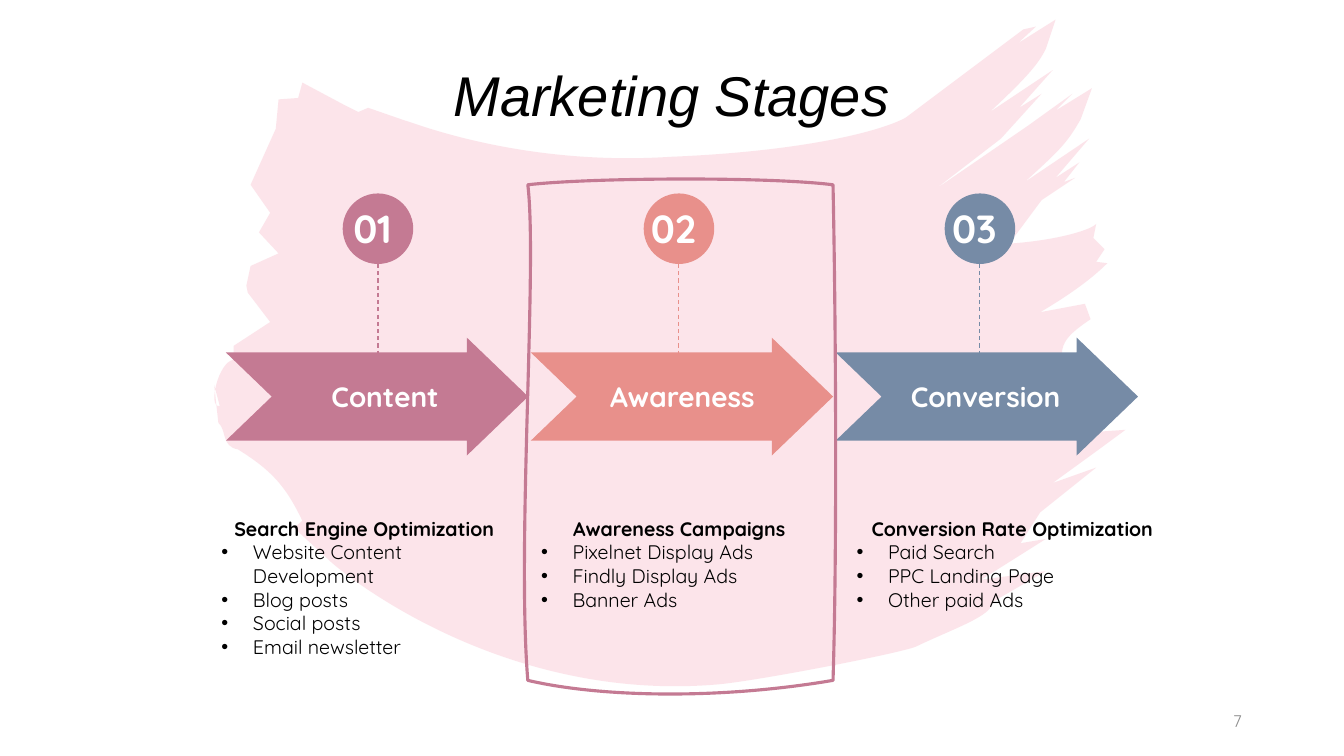
from dataclasses import dataclass
from itertools import chain

from lxml import etree
from pptx import Presentation
from pptx.dml.color import RGBColor
from pptx.enum import dml, shapes, text
from pptx.oxml.ns import qn
from pptx.util import Pt


@dataclass(frozen=True)
class Theme:
    font: str = "Quicksand"
    title_font: str = "Arial"
    ink: str = "000000"
    white: str = "FFFFFF"
    muted: str = "8C8C8C"
    brush: str = "F07C98"
    brush_opacity: int = 20
    frame: str = "C47A93"
    title_size: int = 40
    number_size: int = 28
    label_size: int = 20
    body_size: int = 14
    page_size: int = 12


@dataclass(frozen=True)
class Area:
    left: float
    top: float
    width: float
    height: float

    def emu(self) -> tuple:
        return Pt(self.left), Pt(self.top), Pt(self.width), Pt(self.height)


@dataclass(frozen=True)
class Stage:
    label: str
    color: str
    label_left: float
    details: Area
    heading: str
    items: tuple


THEME = Theme()
FIRST_CENTER, CENTER_STEP = 270, 215
FIRST_ARROW, ARROW_STEP = 161.3, 217.8
CIRCLE, CIRCLE_TOP = 50.4, 138.2
INSET, BULLET_INDENT = 9.2, 22.5

STAGES = (
    Stage("Content", "C47A93", 188, Area(149, 360, 222.5, 126.7), "Search Engine Optimization",
          ("Website Content Development", "Blog posts", "Social posts", "Email newsletter")),
    Stage("Awareness", "E8908B", 400.3, Area(377.3, 360, 216, 126.7), "Awareness Campaigns",
          ("Pixelnet Display Ads", "Findly Display Ads", "Banner Ads")),
    Stage("Conversion", "768BA6", 617, Area(602.6, 360, 241.2, 110.2), "Conversion Rate Optimization",
          ("Paid Search", "PPC Landing Page", "Other paid Ads")),
)

# A leg is an end point (x, y), or two control points followed by the end point.
BRUSH_EDGE = [
    (289, 86), (294, 87, 372, 119, 479, 112), (577, 108, 631, 93, 647, 84), (731, 21),
    (740, 19), (727, 31), (754, 14), (747, 35), (742, 45, 735, 54, 707, 80), (752, 50),
    (728, 77), (744, 67), (715, 99), (667, 136), (734, 90), (766, 67), (754, 79), (780, 63),
    (772, 85), (762, 103, 755, 109, 732, 130), (778, 99), (754, 127), (771, 116), (760, 130),
    (768, 127), (744, 143), (721, 174), (752, 172, 778, 165, 783, 160), (781, 170), (789, 178),
    (783, 187), (791, 188), (778, 201, 760, 213, 743, 223), (775, 217), (779, 228),
    (757, 243, 755, 248, 762, 274), (768, 279), (777, 280), (777, 289), (803, 293), (776, 309),
    (804, 307), (785, 321), (752, 345), (783, 334), (743, 366), (729, 388), (747, 385),
    (701, 414), (747, 408), (709, 430), (709, 440, 681, 449, 654, 462),
    (641, 467, 538, 487, 511, 489), (351, 502, 236, 402, 235, 400), (210, 377), (216, 372),
    (204, 347, 194, 336, 170, 321), (158, 319, 162, 307, 156, 302), (153, 275), (157, 290),
    (148, 292, 156, 258, 167, 257), (167, 247), (193, 230), (177, 209), (176, 204),
    (179, 190), (199, 181), (185, 166), (193, 152), (179, 132), (197, 92), (199, 71),
    (213, 70), (216, 59), (246, 75), (256, 80), (263, 77), (289, 86),
]
FRAME_EDGE = [(377, 132), (420, 127, 547, 126, 595, 132), (597, 228, 598, 392, 595, 486),
              (513, 500, 428, 498, 377, 486), (369, 389, 384, 188, 377, 132)]


def paint(shape, color: str) -> None:
    shape.shadow.inherit = False
    shape.fill.solid()
    shape.fill.fore_color.rgb = RGBColor.from_string(color)
    shape.line.fill.background()


def add_outline(page, contour: list):
    """Draw a closed contour, turning each six-number leg into a Bézier curve."""
    anchors = [leg[-2:] for leg in contour]
    builder = page.shapes.build_freeform(*anchors[0], scale=Pt(1))
    builder.add_line_segments(anchors[1:], close=True)
    outline = builder.convert_to_shape()
    outline.shadow.inherit = False
    left, top = (min(axis) for axis in zip(*anchors))
    for step, leg in zip(list(outline._element.iter(qn("a:lnTo"))), contour[1:]):
        if len(leg) == 6:
            step.tag = qn("a:cubicBezTo")
            for place in (0, 1):
                x, y = leg[2 * place:2 * place + 2]
                step.insert(place, etree.Element(qn("a:pt"), x=str(x - left), y=str(y - top)))
    return outline


def add_text(page, area: Area, words: str, size: int, color: str, bold: bool = False,
             font: str = THEME.font, align=text.PP_ALIGN.CENTER,
             anchor=text.MSO_ANCHOR.MIDDLE, inset: float = INSET):
    frame = page.shapes.add_textbox(*area.emu()).text_frame
    frame.word_wrap = True
    frame.vertical_anchor = anchor
    frame.margin_left = frame.margin_right = frame.margin_top = frame.margin_bottom = Pt(inset)
    frame.text = words
    for para in frame.paragraphs:
        para.alignment = align
    for span in chain.from_iterable(para.runs for para in frame.paragraphs):
        span.font.name, span.font.size, span.font.bold = font, Pt(size), bold
        span.font.color.rgb = RGBColor.from_string(color)
    return frame


def add_details(page, stage: Stage) -> None:
    frame = add_text(page, stage.details, "\n".join((stage.heading, *stage.items)),
                     THEME.body_size, THEME.ink, anchor=text.MSO_ANCHOR.TOP)
    heading, *items = frame.paragraphs
    heading.runs[0].font.bold = True
    for para in items:
        para.alignment = text.PP_ALIGN.LEFT
        props = para._p.get_or_add_pPr()
        props.set("marL", str(Pt(BULLET_INDENT)))
        props.set("indent", str(-Pt(BULLET_INDENT)))
        etree.SubElement(props, qn("a:buFont"), typeface="Arial")
        etree.SubElement(props, qn("a:buChar"), char="•")


def add_stage(page, index: int, stage: Stage) -> None:
    center = FIRST_CENTER + index * CENTER_STEP
    stem = page.shapes.add_connector(shapes.MSO_CONNECTOR.STRAIGHT, Pt(center),
                                     Pt(CIRCLE_TOP + CIRCLE), Pt(center), Pt(277))
    stem.line.color.rgb = RGBColor.from_string(stage.color)
    stem.line.width = Pt(0.75)
    stem.line.dash_style = dml.MSO_LINE.DASH
    etree.SubElement(stem._element.spPr, qn("a:effectLst"))
    circle = Area(center - CIRCLE / 2, CIRCLE_TOP, CIRCLE, CIRCLE)
    paint(page.shapes.add_shape(shapes.MSO_SHAPE.OVAL, *circle.emu()), stage.color)
    arrow_area = Area(FIRST_ARROW + index * ARROW_STEP, 241.2, 216, 84.2)
    arrow = page.shapes.add_shape(shapes.MSO_SHAPE.NOTCHED_RIGHT_ARROW, *arrow_area.emu())
    arrow.adjustments[0], arrow.adjustments[1] = 0.75, 0.52
    paint(arrow, stage.color)
    add_text(page, Area(center - 45.7, 139, 91.4, 47.5), f"{index + 1:02} ",
             THEME.number_size, THEME.white, bold=True)
    add_text(page, Area(stage.label_left, 265.7, 174.2, 35.3), stage.label,
             THEME.label_size, THEME.white, bold=True)
    add_details(page, stage)


def main() -> None:
    deck = Presentation()
    deck.slide_width, deck.slide_height = Pt(960), Pt(540)
    page = deck.slides.add_slide(deck.slide_layouts[6])

    brush = add_outline(page, BRUSH_EDGE)
    paint(brush, THEME.brush)
    tint = next(brush._element.spPr.iter(qn("a:srgbClr")))
    etree.SubElement(tint, qn("a:alpha"), val=str(THEME.brush_opacity * 1000))

    title = add_text(page, Area(32.4, 40.3, 894.2, 60.5), "Marketing Stages",
                     THEME.title_size, THEME.ink, font=THEME.title_font)
    title.paragraphs[0].line_spacing = 0.9
    title.paragraphs[0].runs[0].font.italic = True

    for index, stage in enumerate(STAGES):
        add_stage(page, index, stage)

    frame = add_outline(page, FRAME_EDGE)
    frame.fill.background()
    frame.line.color.rgb = RGBColor.from_string(THEME.frame)
    frame.line.width = Pt(2.25)

    add_text(page, Area(678.2, 500.4, 216, 28.8), "7", THEME.page_size, THEME.muted,
             align=text.PP_ALIGN.RIGHT, inset=7.2)
    deck.save("out.pptx")


if __name__ == "__main__":
    main()
